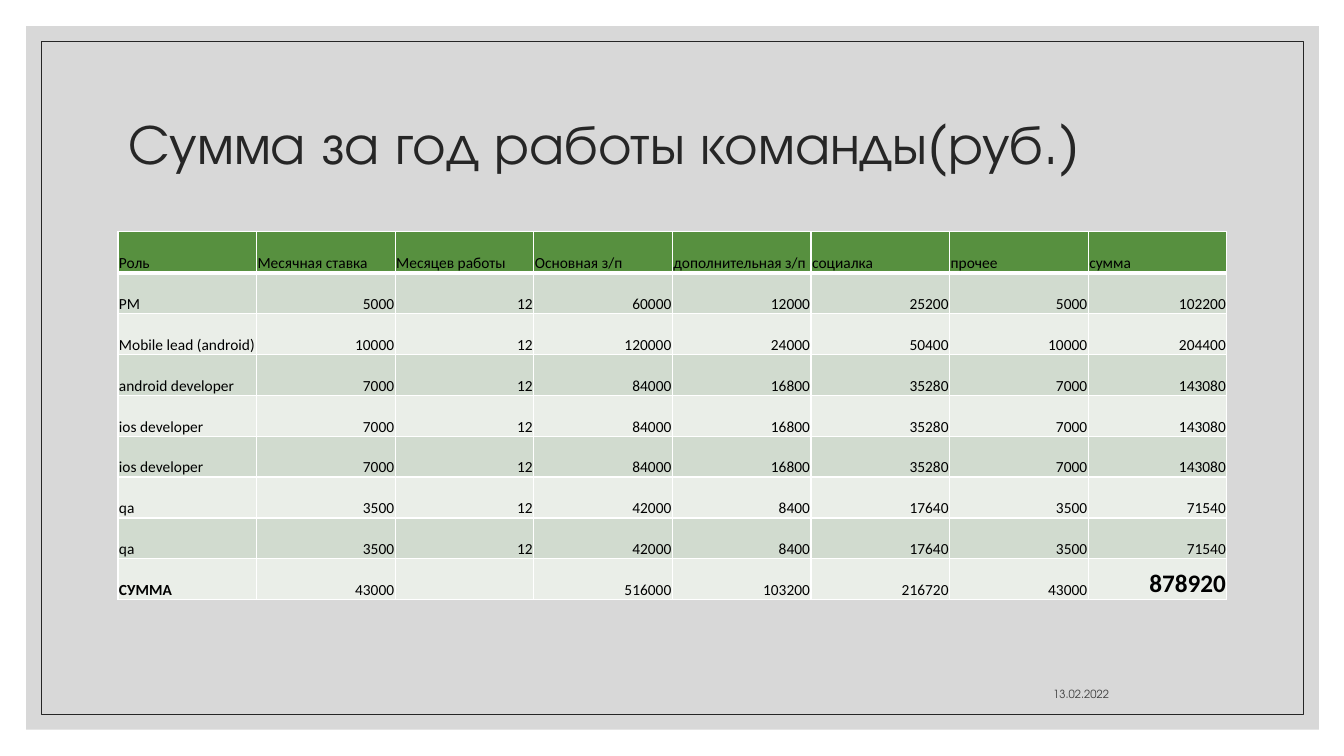
from lxml.etree import SubElement
from pptx import Presentation
from pptx.dml.color import RGBColor
from pptx.enum.shapes import MSO_SHAPE
from pptx.enum.text import MSO_ANCHOR, PP_ALIGN
from pptx.oxml import parse_xml
from pptx.oxml.ns import nsdecls, qn
from pptx.util import Inches, Pt

BLACK = RGBColor(0x00, 0x00, 0x00)
WHITE = RGBColor(0xFF, 0xFF, 0xFF)
DARK = RGBColor(0x26, 0x26, 0x26)
DATE_GREY = RGBColor(0x40, 0x40, 0x40)
PANEL_GREY = RGBColor(0xBF, 0xBF, 0xBF)
GREEN = RGBColor(0x57, 0x90, 0x3F)
BANDS = (RGBColor(0xEA, 0xEE, 0xE8), RGBColor(0xD1, 0xDB, 0xCF))

SALARIES = [
    ("Роль", "Месячная ставка", "Месяцев работы", "Основная з/п",
     "дополнительная з/п", "социалка", "прочее", "сумма"),
    ("PM", "5000", "12", "60000", "12000", "25200", "5000", "102200"),
    ("Mobile lead (android)", "10000", "12", "120000", "24000", "50400", "10000", "204400"),
    ("android developer", "7000", "12", "84000", "16800", "35280", "7000", "143080"),
    ("ios developer", "7000", "12", "84000", "16800", "35280", "7000", "143080"),
    ("ios developer", "7000", "12", "84000", "16800", "35280", "7000", "143080"),
    ("qa", "3500", "12", "42000", "8400", "17640", "3500", "71540"),
    ("qa", "3500", "12", "42000", "8400", "17640", "3500", "71540"),
    ("СУММА", "43000", "", "516000", "103200", "216720", "43000", "878920"),
]


class SlideBuilder:
    """Holds the slide and its fonts, and adds each kind of element."""

    heading_font = "TeX Gyre Adventor"
    table_font = "Calibri"

    def __init__(self, prs):
        self.s = prs.slides.add_slide(prs.slide_layouts[5])
        self.s.background.fill.solid()
        self.s.background.fill.fore_color.rgb = WHITE

    def add_text(self, p, text, font, size, color, bold=False, align=PP_ALIGN.LEFT):
        p.alignment = align
        r = p.add_run()
        r.text = text
        r.font.name, r.font.size, r.font.bold = font, Pt(size), bold
        r.font.color.rgb = color

    def frame(self, x, y, w, h, fill=None, alpha=100, line=None):
        sp = self.s.shapes.add_shape(
            MSO_SHAPE.RECTANGLE, Inches(x), Inches(y), Inches(w), Inches(h))
        sp.shadow.inherit = False
        if fill is None:
            sp.fill.background()
        else:
            sp.fill.solid()
            sp.fill.fore_color.rgb = fill
            color = sp._element.spPr.find(".//" + qn("a:srgbClr"))
            SubElement(color, qn("a:alpha"), val=str(alpha * 1000))
        if line is None:
            sp.line.fill.background()
        else:
            sp.line.color.rgb = line
            sp.line.width = Pt(0.5)

    def title(self, text, x, y, w, h):
        sp = self.s.shapes.title
        sp.left, sp.top, sp.width, sp.height = Inches(x), Inches(y), Inches(w), Inches(h)
        self.s.shapes._spTree.append(sp._element)
        tf = sp.text_frame
        tf.word_wrap = True
        tf.vertical_anchor = MSO_ANCHOR.MIDDLE
        p = tf.paragraphs[0]
        p.line_spacing = 0.9
        self.add_text(p, text, self.heading_font, 40, DARK)

    def date(self, text, x, y, w, h):
        tf = self.s.shapes.add_textbox(
            Inches(x), Inches(y), Inches(w), Inches(h)).text_frame
        tf.word_wrap = True
        tf.vertical_anchor = MSO_ANCHOR.BOTTOM
        self.add_text(tf.paragraphs[0], text, self.heading_font, 8, DATE_GREY,
                      align=PP_ALIGN.RIGHT)

    def borders(self, cell, top, bottom):
        tcPr = cell._tc.get_or_add_tcPr()
        for i, (side, width) in enumerate(zip("LRTB", (1, 1, top, bottom))):
            tcPr.insert(i, parse_xml(
                f'<a:ln{side} {nsdecls("a")} w="{Pt(width)}"><a:solidFill>'
                f'<a:srgbClr val="{WHITE}"/></a:solidFill></a:ln{side}>'))

    def table(self, rows, x, y, w, h):
        table = self.s.shapes.add_table(
            len(rows), len(rows[0]), Inches(x), Inches(y), Inches(w), Inches(h)).table
        last = len(rows) - 1, len(rows[0]) - 1
        for i, row in enumerate(rows):
            for j, text in enumerate(row):
                cell = table.cell(i, j)
                cell.fill.solid()
                cell.fill.fore_color.rgb = BANDS[i % 2] if i else GREEN
                self.borders(cell, 3 if i == 1 else 1, 1 if i else 3)
                cell.vertical_anchor = MSO_ANCHOR.BOTTOM
                cell.margin_left = cell.margin_right = cell.margin_top = Inches(0.01)
                cell.margin_bottom = 0
                p = cell.text_frame.paragraphs[0]
                p.font.size = Pt(11)
                if text:
                    self.add_text(p, text, self.table_font, 18 if (i, j) == last else 11,
                                  BLACK, bold=i == last[0] and j in (0, last[1]),
                                  align=PP_ALIGN.RIGHT if i and j else PP_ALIGN.LEFT)


def main():
    prs = Presentation()
    prs.slide_width, prs.slide_height = Inches(13.33), Inches(7.5)
    slide = SlideBuilder(prs)
    slide.frame(0.26, 0.26, 12.82, 6.98, fill=PANEL_GREY, alpha=60)
    slide.frame(0.41, 0.41, 12.52, 6.68, line=DARK)
    slide.title("Сумма за год работы команды(руб.)", 1.17, 0.7, 11, 1.5)
    slide.table(SALARIES, 1.17, 2.3, 11, 3.65)
    slide.date("13.02.2022", 7.94, 6.6, 3.16, 0.4)
    prs.save("out.pptx")


if __name__ == "__main__":
    main()
